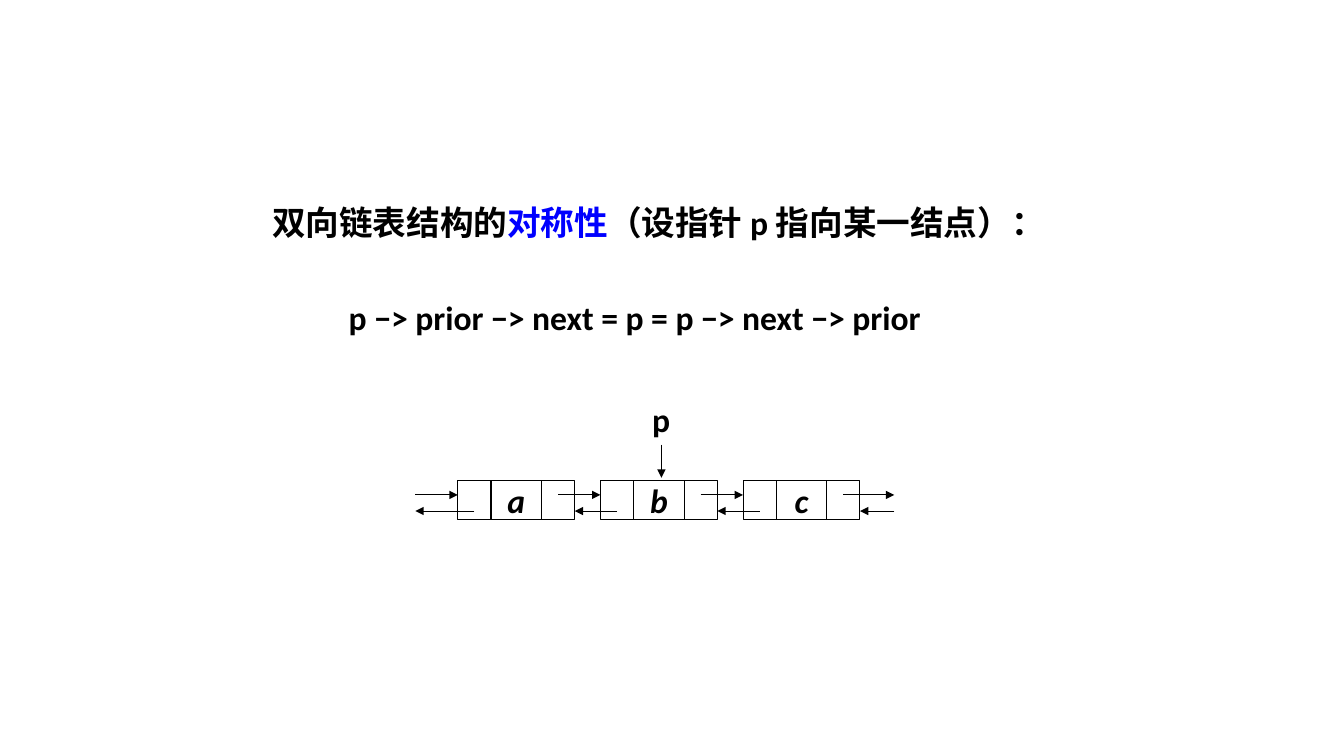
from lxml.etree import SubElement
from pptx import Presentation
from pptx.dml.color import RGBColor
from pptx.enum.shapes import MSO_CONNECTOR, MSO_SHAPE
from pptx.enum.text import MSO_ANCHOR, PP_ALIGN
from pptx.oxml.ns import qn
from pptx.util import Inches, Pt


def color(hex):
    return RGBColor.from_string(hex)


class Board:
    font, size, ink, blue, line = "Calibri", 24, "000000", "0000FF", 0.75

    def __init__(self, slide):
        self.slide = slide

    def run(self, para, text, ink=None, italic=False):
        run = para.add_run()
        run.text = text
        font = run.font
        font.name, font.size, font.bold = self.font, Pt(self.size), True
        font.italic = italic
        font.color.rgb = color(ink or self.ink)

    def text(self, left, top, width, height, rows, wrap=True, spacing=1.0):
        """Each row is an indent in inches and a list of (text, colour)."""
        area = map(Inches, (left, top, width, height))
        frame = self.slide.shapes.add_textbox(*area).text_frame
        frame.word_wrap = wrap
        for i, (indent, runs) in enumerate(rows):
            para = frame.add_paragraph() if i else frame.paragraphs[0]
            para.line_spacing = spacing
            if i:
                para.space_before = Pt(0.2 * self.size)
            if indent:
                props = para._p.get_or_add_pPr()
                props.set("marL", str(Inches(indent)))
                props.set("indent", "0")
            for words, ink in runs:
                self.run(para, words, ink)

    def cell(self, left, top, width, height, label=""):
        area = map(Inches, (left, top, width, height))
        box = self.slide.shapes.add_shape(MSO_SHAPE.RECTANGLE, *area)
        box.shadow.inherit = False
        box.fill.background()
        box.line.color.rgb = color(self.ink)
        box.line.width = Pt(self.line)
        if label:
            frame = box.text_frame
            frame.word_wrap = False
            frame.vertical_anchor = MSO_ANCHOR.MIDDLE
            frame.margin_left = frame.margin_right = 0
            frame.margin_top = frame.margin_bottom = 0
            para = frame.paragraphs[0]
            para.alignment = PP_ALIGN.CENTER
            self.run(para, label, italic=True)

    def arrow(self, x1, y1, x2, y2):
        ends = map(Inches, (x1, y1, x2, y2))
        link = self.slide.shapes.add_connector(MSO_CONNECTOR.STRAIGHT, *ends)
        link.line.color.rgb = color(self.ink)
        link.line.width = Pt(self.line)
        SubElement(link.line._get_or_add_ln(), qn("a:tailEnd"), type="triangle")
        SubElement(link._element.spPr, qn("a:effectLst"))


def main():
    deck = Presentation()
    deck.slide_width, deck.slide_height = Inches(13.33), Inches(7.5)
    board = Board(deck.slides.add_slide(deck.slide_layouts[6]))

    # Statement and formula
    board.text(2, 1.47, 8.96, 1.82, [
        (0.6, [("双向链表结构的", None), ("对称性", board.blue),
               ("（设指针 p 指向某一结点）：", None)]),
        (1.36, [("p −> prior −> next = p = p −> next −> prior", None)]),
    ], spacing=2.2)

    # Pointer to the middle node
    board.text(6.37, 3.91, 0.47, 0.5, [(0, [("p", None)])], wrap=False)
    board.arrow(6.56, 4.41, 6.56, 4.74)

    # Nodes: prior cell, data cell, next cell
    names = "abc"
    first, top, high = 4.54, 4.77, 0.38
    side, data = 0.33, 0.5
    step, wide = 2.83 / 2, 2 * side + data
    start, stop = 4.12, 8.87
    next_y, prior_y = 4.91, 5.07
    lefts = [first + i * step for i in range(len(names))]
    for left, name in zip(lefts, names):
        board.cell(left, top, side, high)
        board.cell(left + side, top, data, high, name)
        board.cell(left + side + data, top, side, high)

    # Links out of each node to its neighbours
    for left, before, after in zip(lefts, [start] + [x + wide for x in lefts],
                                   lefts[1:] + [stop]):
        board.arrow(left + wide - side / 2, next_y, after, next_y)
        board.arrow(left + side / 2, prior_y, before, prior_y)

    # Links that enter the chain at both ends
    board.arrow(start, next_y, first, next_y)
    board.arrow(stop, prior_y, lefts[-1] + wide, prior_y)

    deck.save("out.pptx")


if __name__ == "__main__":
    main()
